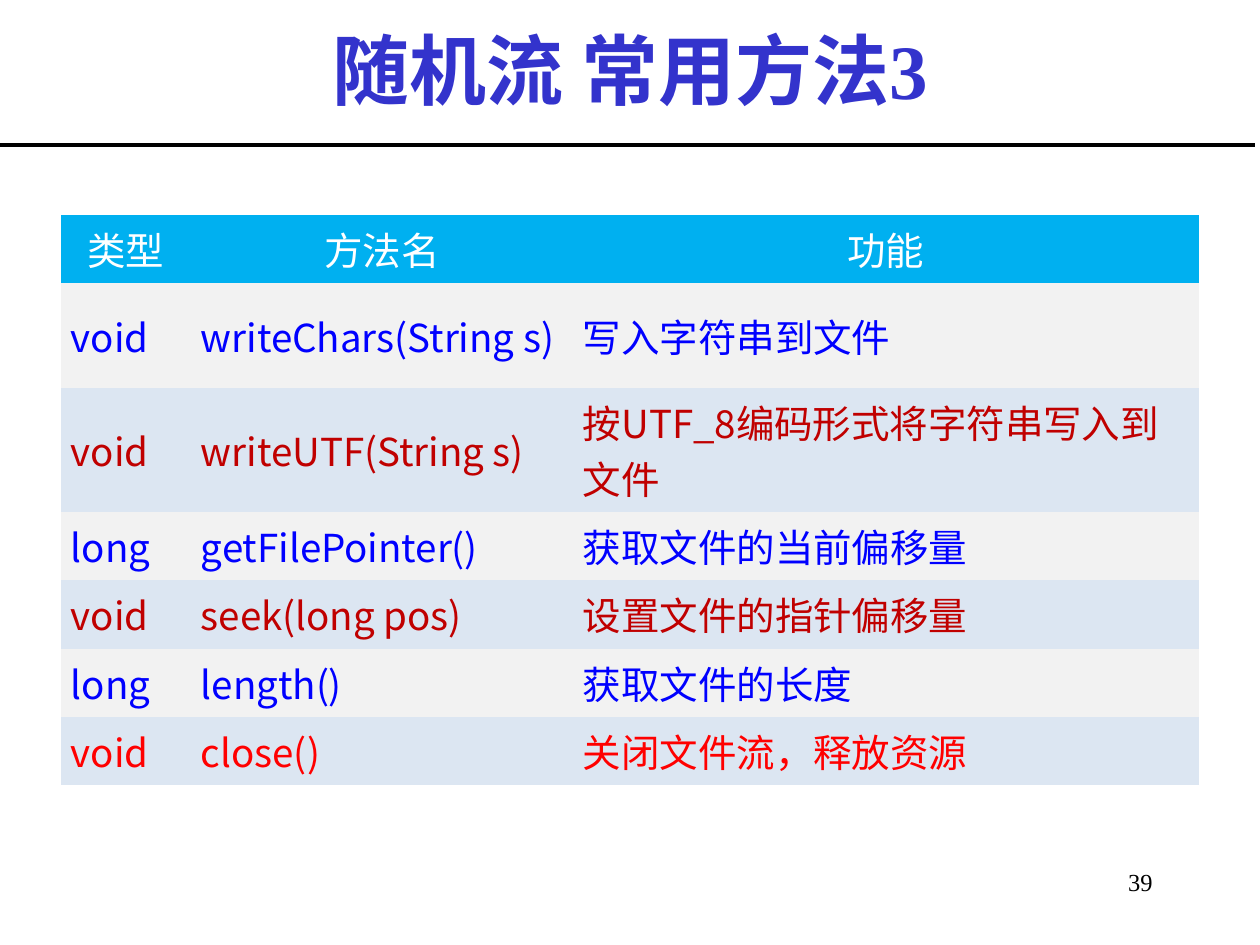
from lxml import etree
from pptx import Presentation
from pptx import util as u
from pptx.dml.color import RGBColor
from pptx.enum import shapes, text
from pptx.oxml.ns import qn

PX = 914400 // 126
SERIF, SANS = "Times New Roman", "Noto Sans CJK SC"
BLACK = RGBColor(0x00, 0x00, 0x00)
WHITE = RGBColor(0xFF, 0xFF, 0xFF)
INDIGO = RGBColor(0x33, 0x33, 0xCC)
SKY = RGBColor(0x00, 0xB0, 0xF0)
GREY = RGBColor(0xF2, 0xF2, 0xF2)
PALE = RGBColor(0xDC, 0xE6, 0xF2)
BLUE = RGBColor(0x00, 0x00, 0xFF)
DARK = RGBColor(0xC0, 0x00, 0x00)
RED = RGBColor(0xFF, 0x00, 0x00)

COLS = [130, 382, 626]
ROWS = [  # height, text colour, cells
    (68, WHITE, ("类型", "方法名", "功能")),
    (105, BLUE, ("void", "writeChars(String s)", "写入字符串到文件")),
    (124, DARK, ("void", "writeUTF(String s)", "按UTF_8编码形式将字符串写入到文件")),
    (68, BLUE, ("long", "getFilePointer()", "获取文件的当前偏移量")),
    (69, DARK, ("void", "seek(long pos)", "设置文件的指针偏移量")),
    (68, BLUE, ("long", "length()", "获取文件的长度")),
    (68, RED, ("void", "close()", "关闭文件流，释放资源")),
]


def emu(*vals):
    return [u.Emu(v * PX) for v in vals]


def write(frame, words, size, face, color, align, bold=False):
    """Put one run in the first paragraph of the frame."""
    para = frame.paragraphs[0]
    para.alignment = align
    run = para.add_run()
    run.text = words
    font = run.font
    font.size, font.name, font.bold = u.Pt(size), face, bold
    font.color.rgb = color
    if face == SANS:
        east = etree.SubElement(run._r.get_or_add_rPr(), qn("a:ea"))
        east.set("typeface", face)


def add_title(slide, box):
    title = slide.shapes.title
    title.left, title.top, title.width, title.height = emu(*box)
    frame = title.text_frame
    frame.auto_size = text.MSO_AUTO_SIZE.NONE
    frame.vertical_anchor = text.MSO_ANCHOR.MIDDLE
    write(frame, "随机流 常用方法3", 44, SERIF, INDIGO, text.PP_ALIGN.CENTER, True)


def add_rule(slide, left, top, width):
    line = slide.shapes.add_connector(
        shapes.MSO_CONNECTOR.STRAIGHT, *emu(left, top, left + width, top))
    line.line.color.rgb = BLACK
    line.line.width = u.Pt(2.25)
    etree.SubElement(line._element.spPr, qn("a:effectLst"))


def add_grid(slide, left, top):
    high = sum(row[0] for row in ROWS)
    grid = slide.shapes.add_table(
        len(ROWS), len(COLS), *emu(left, top, sum(COLS), high)).table
    grid.horz_banding = False
    for col, wide in zip(grid.columns, COLS):
        col.width = u.Emu(wide * PX)
    for r, (high, color, words) in enumerate(ROWS):
        grid.rows[r].height = u.Emu(high * PX)
        fill = SKY if r == 0 else GREY if r % 2 else PALE
        align = text.PP_ALIGN.LEFT if r else text.PP_ALIGN.CENTER
        for c, word in enumerate(words):
            cell = grid.cell(r, c)
            cell.fill.solid()
            cell.fill.fore_color.rgb = fill
            cell.vertical_anchor = text.MSO_ANCHOR.MIDDLE
            cell.margin_left, cell.margin_right = emu(10, 10)
            cell.margin_top, cell.margin_bottom = emu(6, 6)
            write(cell.text_frame, word, 22, SANS, color, align)
    # No table style, so cells carry no borders
    style = grid._tbl.tblPr.find(qn("a:tableStyleId"))
    style.text = "{2D5ABB26-0587-4C30-8999-92F81FD0307C}"


def add_number(slide, box):
    frame = slide.shapes.add_textbox(*emu(*box)).text_frame
    frame.word_wrap = True
    write(frame, "39", 14, SERIF, BLACK, text.PP_ALIGN.RIGHT)


def main():
    deck = Presentation()
    deck.slide_width, deck.slide_height = emu(1260, 945)
    slide = deck.slides.add_slide(deck.slide_layouts[5])
    add_number(slide, (1029, 861, 136, 63))
    add_title(slide, (95, 11, 1071, 115))
    add_rule(slide, -5, 145, 1260)
    add_grid(slide, 61, 215)
    deck.save("out.pptx")


if __name__ == "__main__":
    main()
